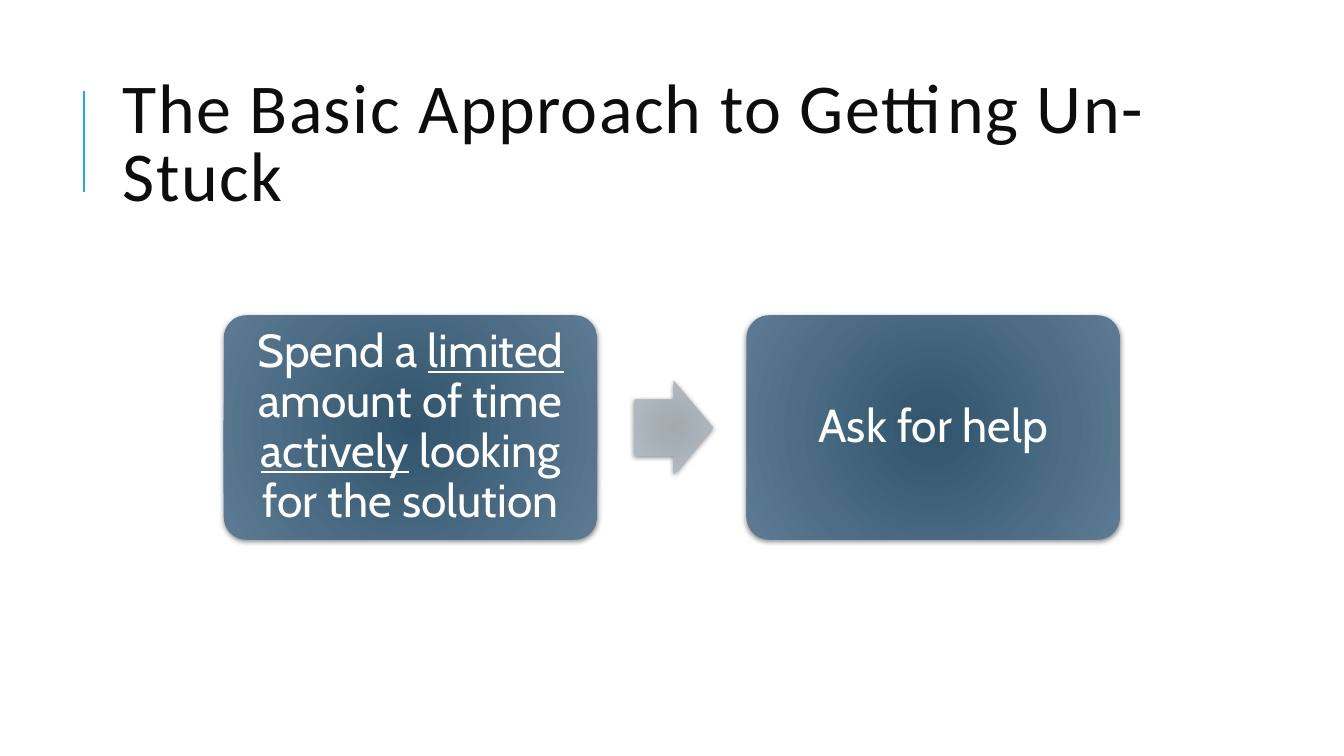
from dataclasses import dataclass

from pptx import Presentation
from pptx.dml.color import RGBColor
from pptx.enum.shapes import MSO_CONNECTOR, MSO_SHAPE
from pptx.enum.text import MSO_ANCHOR, MSO_AUTO_SIZE, PP_ALIGN
from pptx.oxml import parse_xml
from pptx.oxml.ns import nsdecls
from pptx.util import Cm, Pt


@dataclass(frozen=True)
class Theme:
    title_font: str = "Calibri"
    body_font: str = "Cabin"
    title_size: int = 50
    body_size: int = 33
    title_color: str = "0D0D0D"
    body_color: str = "FFFFFF"
    accent: str = "1CADE4"
    box_gradient: tuple[str, str] = ("30556C", "5D7B94")
    arrow_gradient: tuple[str, str] = ("A2A9AF", "B5BEC7")


@dataclass(frozen=True)
class Step:
    runs: tuple[tuple[str, bool], ...]  # text, underlined


THEME = Theme()
STEPS = (
    Step((("Spend a ", False), ("limited ", True), ("amount of time ", False),
          ("actively", True), (" looking for the solution", False))),
    Step((("Ask for help", False),)),
)

# Flow geometry in centimetres: all sizes follow from the box width
LEFT, TOP, BOX_W = 5.64, 7.95, 9.41
BOX_H = 0.6 * BOX_W
PITCH = 1.4 * BOX_W
ARROW_W, ARROW_H = 0.21 * BOX_W, 0.25 * BOX_W
ARROW_OFFSET = 1.1 * BOX_W


def add_text(p, text: str, *, font: str, size: int, color: str,
             underline: bool = False, spacing: int = 0) -> None:
    r = p.add_run()
    r.text = text
    r.font.name = font
    r.font.size = Pt(size)
    r.font.color.rgb = RGBColor.from_string(color)
    if underline:
        r.font.underline = True
    if spacing:
        r.font._element.set("spc", str(spacing * 100))


def add_block(s, kind: MSO_SHAPE, x: float, y: float, w: float, h: float,
              adjustments: tuple[float, ...], gradient: tuple[str, str]):
    """Add a borderless shape with a radial gradient and a soft shadow."""
    sp = s.shapes.add_shape(kind, Cm(x), Cm(y), Cm(w), Cm(h))
    for i, value in enumerate(adjustments):
        sp.adjustments[i] = value
    sp.line.fill.background()
    inner, outer = gradient
    sp._element.spPr.insert(2, parse_xml(
        f'<a:gradFill {nsdecls("a")} rotWithShape="1"><a:gsLst>'
        f'<a:gs pos="0"><a:srgbClr val="{inner}"/></a:gs>'
        f'<a:gs pos="100000"><a:srgbClr val="{outer}"/></a:gs></a:gsLst>'
        '<a:path path="circle"><a:fillToRect l="100000" t="100000" '
        'r="100000" b="100000"/></a:path></a:gradFill>'))
    sp.shadow.inherit = False
    sp._element.spPr.effectLst.append(parse_xml(
        f'<a:outerShdw {nsdecls("a")} blurRad="50800" dist="12700" '
        'dir="5400000" algn="ctr" rotWithShape="0"><a:srgbClr val="000000">'
        '<a:alpha val="50000"/></a:srgbClr></a:outerShdw>'))
    return sp


def add_step(s, step: Step, x: float) -> None:
    sp = add_block(s, MSO_SHAPE.ROUNDED_RECTANGLE, x, TOP, BOX_W, BOX_H,
                   (0.1,), THEME.box_gradient)
    tf = sp.text_frame
    tf.word_wrap = True
    tf.vertical_anchor = MSO_ANCHOR.MIDDLE
    tf.margin_left = tf.margin_right = Cm(0.35)
    tf.margin_top = tf.margin_bottom = Cm(0.35)
    p = tf.paragraphs[0]
    p.alignment = PP_ALIGN.CENTER
    p.line_spacing = 0.9
    for text, underline in step.runs:
        add_text(p, text, font=THEME.body_font, size=THEME.body_size,
                 color=THEME.body_color, underline=underline)


def add_title(s, text: str) -> None:
    # Accent rule
    rule = s.shapes.add_connector(MSO_CONNECTOR.STRAIGHT,
                                  Cm(2.12), Cm(4.83), Cm(2.12), Cm(2.29))
    rule.line.color.rgb = RGBColor.from_string(THEME.accent)
    rule.line.width = Pt(1.5)
    rule._element.spPr.append(parse_xml(f'<a:effectLst {nsdecls("a")}/>'))

    # Title placeholder
    title = s.shapes.title
    title.left, title.top = Cm(2.84), Cm(1.63)
    title.width, title.height = Cm(27), Cm(4.17)
    tf = title.text_frame
    tf.word_wrap = True
    tf.auto_size = MSO_AUTO_SIZE.NONE
    tf.vertical_anchor = MSO_ANCHOR.MIDDLE
    p = tf.paragraphs[0]
    p.alignment = PP_ALIGN.LEFT
    p.line_spacing = 0.8
    add_text(p, text, font=THEME.title_font, size=THEME.title_size,
             color=THEME.title_color, spacing=1)


def main() -> None:
    prs = Presentation()
    prs.slide_width, prs.slide_height = Cm(33.87), Cm(19.05)
    s = prs.slides.add_slide(prs.slide_layouts[5])
    add_title(s, "The Basic Approach to Getting Un-Stuck")

    # Steps, with an arrow before each one after the first
    for i, step in enumerate(STEPS):
        x = LEFT + i * PITCH
        if i:
            add_block(s, MSO_SHAPE.RIGHT_ARROW, x - PITCH + ARROW_OFFSET,
                      TOP + (BOX_H - ARROW_H) / 2, ARROW_W, ARROW_H,
                      (0.6, 0.5), THEME.arrow_gradient)
        add_step(s, step, x)

    prs.save("out.pptx")


if __name__ == "__main__":
    main()
